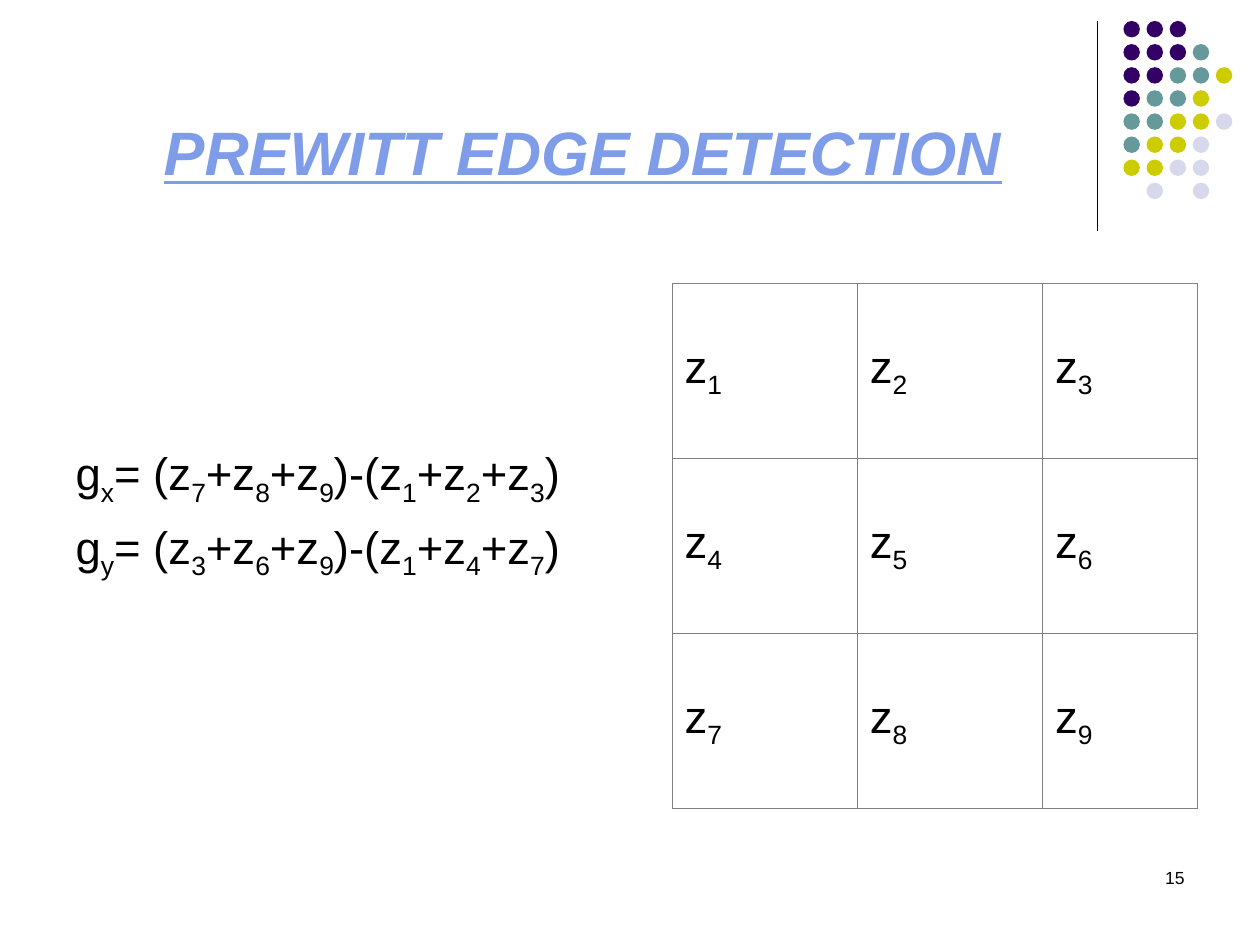
from lxml.etree import SubElement
from pptx import Presentation
from pptx.dml.color import RGBColor
from pptx.enum.shapes import MSO_CONNECTOR, MSO_SHAPE
from pptx.enum.text import MSO_ANCHOR as Anchor, MSO_AUTO_SIZE, PP_ALIGN as Align
from pptx.oxml.ns import qn
from pptx.util import Inches, Pt

BLACK = RGBColor(0x00, 0x00, 0x00)
WHITE = RGBColor(0xFF, 0xFF, 0xFF)
TITLE_BLUE = RGBColor(0x7E, 0x9C, 0xE8)
GRID_GRAY = RGBColor(0x80, 0x80, 0x80)
DOT_COLORS = {
    "P": RGBColor(0x33, 0x00, 0x66),
    "T": RGBColor(0x66, 0x99, 0x99),
    "Y": RGBColor(0xCC, 0xCC, 0x00),
    "L": RGBColor(0xD8, 0xD8, 0xEC),
}
DOT_ROWS = ["PPP", "PPPT", "PPTTY", "PTTY", "TTYYL", "TYYL", "YYLL", " L L"]
GRADIENTS = [
    "g_x= (z_7+z_8+z_9)-(z_1+z_2+z_3)",
    "g_y= (z_3+z_6+z_9)-(z_1+z_4+z_7)",
]


def grid(cells):
    """Length of a number of cells; the slide is 120 by 90 cells."""
    return Inches(cells / 12)


def write(paragraph, text, size=26, color=BLACK, font="Arial", align=None,
          before=0, **flags):
    """Fill a paragraph; the character after an underscore is a subscript."""
    paragraph.alignment = align
    paragraph.space_before = Pt(before)
    first, *rest = text.split("_")
    pieces = [(first, False)]
    for part in rest:
        pieces += [(part[0], True), (part[1:], False)]
    for piece, subscript in pieces:
        if not piece:
            continue
        run = paragraph.add_run()
        run.text = piece
        run.font.name, run.font.size = font, Pt(size)
        run.font.color.rgb = color
        for flag, value in flags.items():
            setattr(run.font, flag, value)
        if subscript:
            run.font._element.set("baseline", "-25000")


class SlideBuilder:
    def __init__(self, slide):
        self.slide = slide
        self.shapes = slide.shapes

    def place(self, shape, left, top, width, height):
        shape.left, shape.top = grid(left), grid(top)
        shape.width, shape.height = grid(width), grid(height)
        frame = shape.text_frame
        frame.word_wrap = True
        frame.auto_size = MSO_AUTO_SIZE.NONE
        return frame

    def divider(self, x, top, bottom):
        line = self.shapes.add_connector(
            MSO_CONNECTOR.STRAIGHT, grid(x), grid(top), grid(x), grid(bottom))
        line.line.color.rgb = BLACK
        line.line.width = Pt(0.75)
        SubElement(line._element.spPr, qn("a:effectLst"))

    def dots(self, left, top, pitch=2.2, size=1.57):
        for row, codes in enumerate(DOT_ROWS):
            for col, code in enumerate(codes):
                if code == " ":
                    continue
                dot = self.shapes.add_shape(
                    MSO_SHAPE.OVAL, grid(left + col * pitch),
                    grid(top + row * pitch), grid(size), grid(size))
                dot.shadow.inherit = False
                dot.fill.solid()
                dot.fill.fore_color.rgb = DOT_COLORS[code]
                dot.line.fill.background()

    def title(self, text, *box):
        frame = self.place(self.shapes.title, *box)
        frame.vertical_anchor = Anchor.BOTTOM
        write(frame.paragraphs[0], text, size=35, color=TITLE_BLUE,
              align=Align.CENTER, bold=True, italic=True, underline=True)

    def formulas(self, lines, *box, top_inset):
        frame = self.place(self.slide.placeholders[1], *box)
        frame.vertical_anchor = Anchor.TOP
        frame.margin_top = grid(top_inset)
        for index, line in enumerate(lines):
            paragraph = frame.add_paragraph() if index else frame.paragraphs[0]
            properties = paragraph._p.get_or_add_pPr()
            properties.set("marL", str(Inches(0.38)))
            properties.set("indent", str(-Inches(0.38)))
            SubElement(properties, qn("a:buNone"))
            write(paragraph, line, before=6.5 if index else 0)

    def page_number(self, text, *box):
        frame = self.place(self.shapes.add_textbox(0, 0, 0, 0), *box)
        write(frame.paragraphs[0], text, size=10, align=Align.RIGHT)

    def border(self, cell):
        properties = cell._tc.get_or_add_tcPr()
        for side in ("lnL", "lnR", "lnT", "lnB"):
            line = SubElement(properties, qn(f"a:{side}"), w=str(Pt(0.45)))
            fill = SubElement(line, qn("a:solidFill"))
            SubElement(fill, qn("a:srgbClr"), val=str(GRID_GRAY))

    def pixel_mask(self, left, top, column_widths, row_height):
        count = len(column_widths)
        table = self.shapes.add_table(
            count, count, grid(left), grid(top),
            grid(sum(column_widths)), grid(row_height * count)).table
        table.first_row = table.horz_banding = False
        for column, width in zip(table.columns, column_widths):
            column.width = grid(width)
        for row in table.rows:
            row.height = grid(row_height)
        for number, cell in enumerate(table.iter_cells(), 1):
            self.border(cell)
            cell.fill.solid()
            cell.fill.fore_color.rgb = WHITE
            cell.vertical_anchor = Anchor.MIDDLE
            write(cell.text_frame.paragraphs[0], f"z_{number}")


def main():
    deck = Presentation()
    deck.slide_width, deck.slide_height = grid(120), grid(90)
    builder = SlideBuilder(deck.slides.add_slide(deck.slide_layouts[1]))
    builder.divider(104.5, 2, 22)
    builder.dots(107, 2)
    builder.page_number("15", 86, 82, 28, 6)
    builder.title("PREWITT EDGE DETECTION", 6, 1.5, 99, 17)
    builder.formulas(GRADIENTS, 6, 22.5, 57, 57.8, top_inset=19.9)
    builder.pixel_mask(64, 27, (17.65, 17.65, 14.7), 50 / 3)
    deck.save("out.pptx")


if __name__ == "__main__":
    main()
